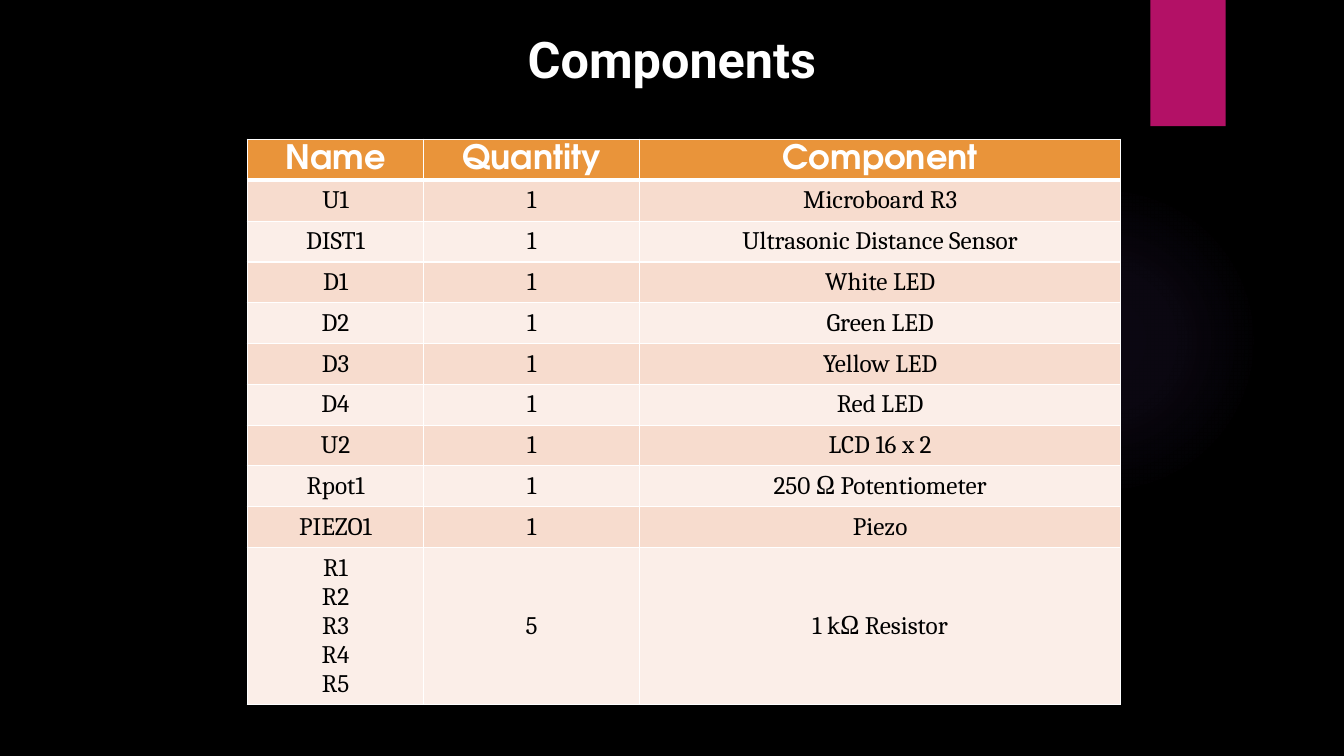
from lxml import etree
from pptx import Presentation, util as u
from pptx.dml.color import RGBColor
from pptx.enum import shapes, text
from pptx.oxml import parse_xml
from pptx.oxml.ns import nsdecls, qn

WIDTH, HEIGHT = u.Inches(13.33), u.Inches(7.5)
WHITE, BLACK, MAGENTA, VIOLET = "FFFFFF", "000000", "B31166", "9B6BF2"
ORANGE, PEACH, CREAM = "E9943A", "F7DCCE", "FBEEE8"
HEADER = ("Name", "Quantity", "Component")
PARTS = [
    ("U1", "1", "Microboard R3"),
    ("DIST1", "1", "Ultrasonic Distance Sensor"),
    ("D1", "1", "White LED"),
    ("D2", "1", "Green LED"),
    ("D3", "1", "Yellow LED"),
    ("D4", "1", "Red LED"),
    ("U2", "1", "LCD 16 x 2"),
    ("Rpot1", "1", "250 Ω Potentiometer"),
    ("PIEZO1", "1", "Piezo"),
    ("R1\nR2\nR3\nR4\nR5", "5", "1 kΩ Resistor"),
]


def color(value):
    """Turn a hex string into a colour."""
    return RGBColor.from_string(value)


def box(left, top, width, height):
    """Turn shares of the slide into left, top, width and height."""
    return (int(left * WIDTH), int(top * HEIGHT),
            int(width * WIDTH), int(height * HEIGHT))


def write(tf, content, font, size, fill, bold=False):
    """Write centred lines, one paragraph for each."""
    for i, line in enumerate(content.split("\n")):
        p = tf.add_paragraph() if i else tf.paragraphs[0]
        p.alignment = text.PP_ALIGN.CENTER
        r = p.add_run()
        r.text = line
        r.font.name, r.font.size, r.font.bold = font, u.Pt(size), bold
        r.font.color.rgb = color(fill)


def add_plain(s, kind, area, fill):
    """Add a preset shape with a flat fill, no line and no shadow."""
    sp = s.shapes.add_shape(kind, *area)
    sp.shadow.inherit = False
    sp.line.fill.background()
    sp.fill.solid()
    sp.fill.fore_color.rgb = color(fill)
    return sp


def add_glow(s, area):
    """Add a circle that fades out from its centre."""
    sp = add_plain(s, shapes.MSO_SHAPE.OVAL, area, VIOLET)
    stops = "".join(
        f'<a:gs pos="{pos * 1000}"><a:srgbClr val="{VIOLET}">'
        f'<a:alpha val="{alpha * 1000}"/></a:srgbClr></a:gs>'
        for pos, alpha in ((0, 7), (36, 6), (69, 0), (100, 0)))
    grad = parse_xml(
        f'<a:gradFill {nsdecls("a")} rotWithShape="1"><a:gsLst>{stops}</a:gsLst>'
        '<a:path path="circle"><a:fillToRect l="50000" t="50000" r="50000" '
        'b="50000"/></a:path></a:gradFill>')
    spPr = sp.element.spPr
    spPr.replace(spPr.find(qn("a:solidFill")), grad)


def add_title(s, area, content):
    """Place and fill the title placeholder."""
    sp = s.shapes.title
    sp.left, sp.top, sp.width, sp.height = area
    sp.text_frame.vertical_anchor = text.MSO_ANCHOR.TOP
    write(sp.text_frame, content, "Roboto", 36, WHITE, True)


def style_cell(cell, fill, bottom):
    """Give a cell white borders and a flat fill."""
    tcPr = cell._tc.get_or_add_tcPr()
    for side, width in (("L", 1), ("R", 1), ("T", 1), ("B", bottom)):
        ln = etree.SubElement(tcPr, qn(f"a:ln{side}"), w=str(u.Pt(width)))
        solid = etree.SubElement(ln, qn("a:solidFill"))
        etree.SubElement(solid, qn("a:srgbClr"), val=WHITE)
    cell.fill.solid()
    cell.fill.fore_color.rgb = color(fill)


def add_parts_table(s, area, shares, row_height):
    """Add the banded parts list, its last row taking the remaining height."""
    rows = [HEADER] + PARTS
    table = s.shapes.add_table(len(rows), len(HEADER), *area).table
    for column, share in zip(table.columns, shares):
        column.width = int(area[2] * share)
    for i, row in enumerate(rows):
        last = i == len(rows) - 1
        table.rows[i].height = area[3] - i * row_height if last else row_height
        for j, content in enumerate(row):
            cell = table.cell(i, j)
            if i == 0:
                style_cell(cell, ORANGE, 3)
                write(cell.text_frame, content, "TeX Gyre Adventor", 24, WHITE, True)
            else:
                style_cell(cell, PEACH if i % 2 else CREAM, 1)
                cell.vertical_anchor = text.MSO_ANCHOR.MIDDLE
                write(cell.text_frame, content, "Cambria", 18, BLACK)


def build_components(prs):
    """Build the components slide."""
    s = prs.slides.add_slide(prs.slide_layouts[5])
    s.background.fill.solid()
    s.background.fill.fore_color.rgb = color(BLACK)
    add_glow(s, box(0.706, 0.244, 0.231, 0.411))
    add_plain(s, shapes.MSO_SHAPE.RECTANGLE, box(0.856, 0, 0.056, 0.167), MAGENTA)
    add_title(s, box(0.32, 0.03, 0.36, 0.152), "Components")
    add_parts_table(s, box(0.184, 0.184, 0.65, 0.748),
                    (0.202, 0.247, 0.551), u.Inches(0.405))


def main():
    """Make and save the presentation."""
    prs = Presentation()
    prs.slide_width, prs.slide_height = WIDTH, HEIGHT
    build_components(prs)
    prs.save("out.pptx")


if __name__ == "__main__":
    main()
